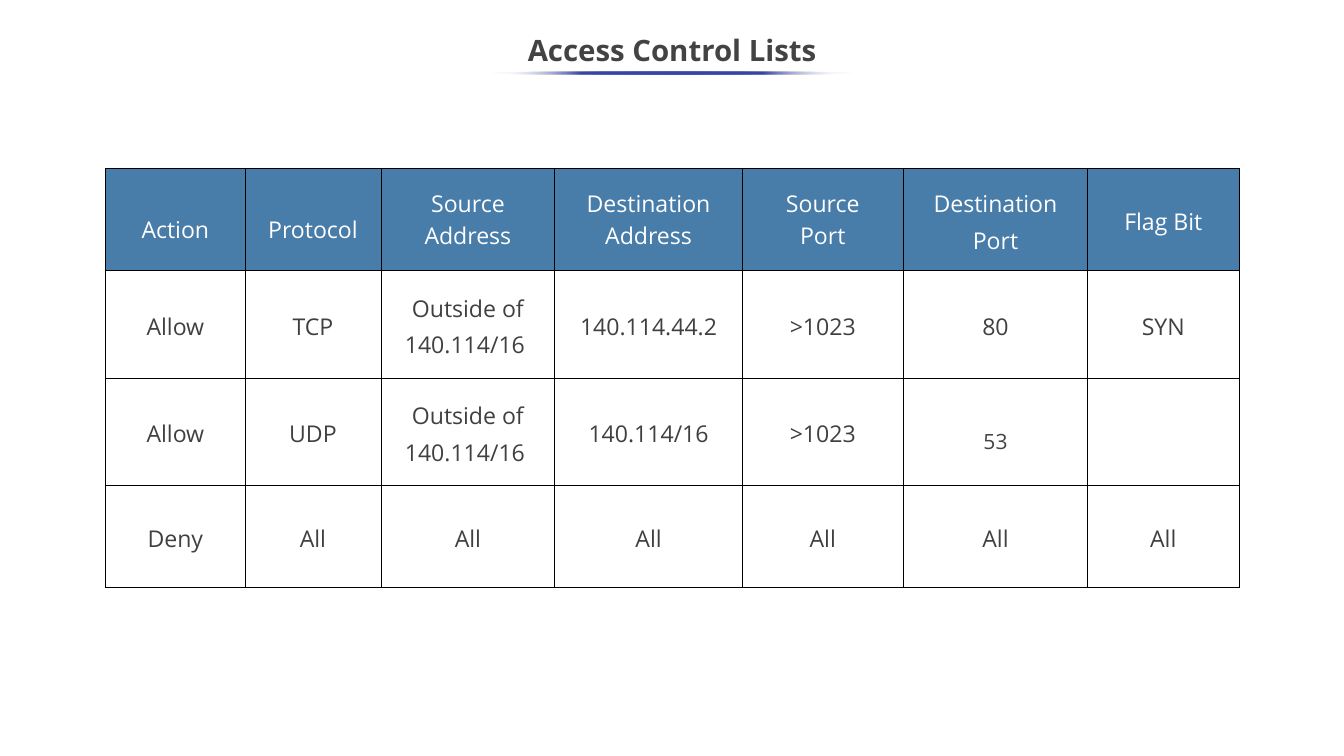
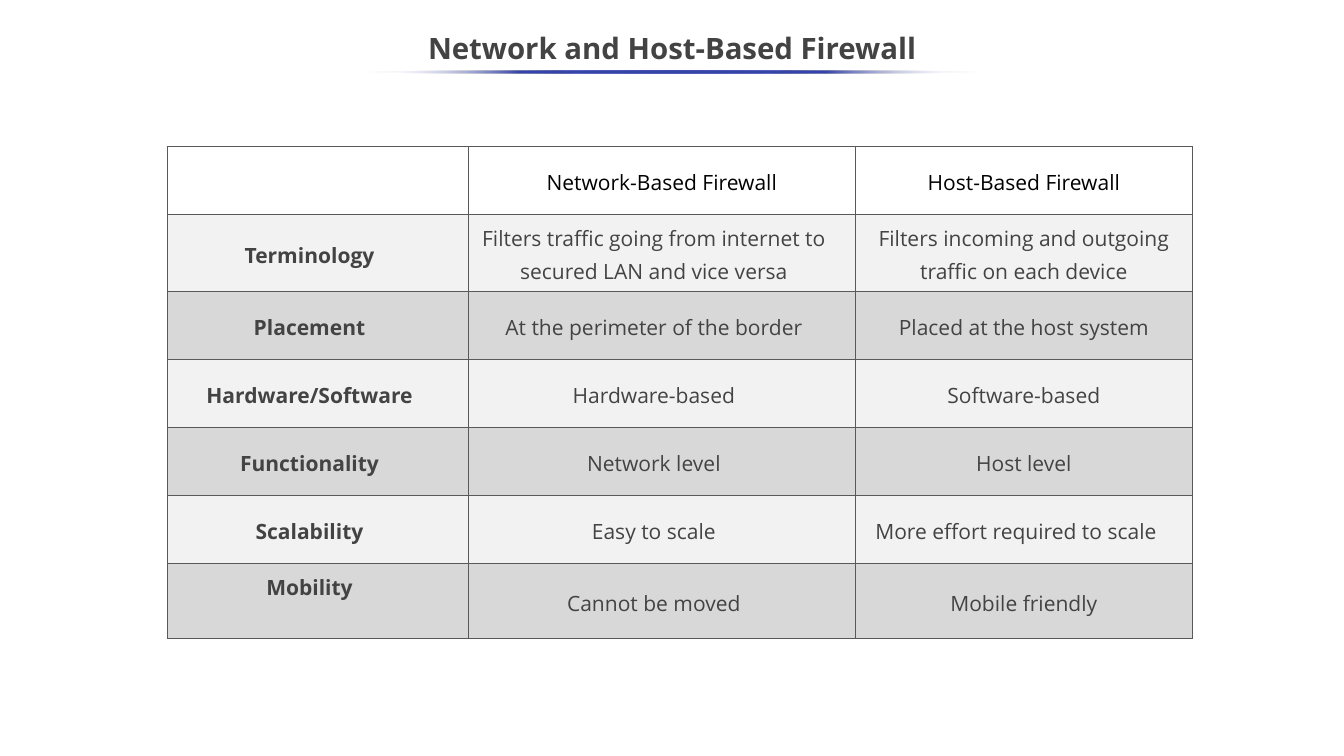
import pptx
import pptx.dml.color
import pptx.enum.shapes
import pptx.enum.text
import pptx.oxml
import pptx.oxml.ns
import pptx.util

Inches = pptx.util.Inches
Pt = pptx.util.Pt
MIDDLE = pptx.enum.text.MSO_ANCHOR.MIDDLE
TOP = pptx.enum.text.MSO_ANCHOR.TOP
CENTER = pptx.enum.text.PP_ALIGN.CENTER

COLORS = {
    "white": "FFFFFF", "black": "000000", "title": "434343",
    "body": "404040", "header": "487CA9", "accent": "3645A9",
    "light": "F2F2F2", "band": "D8D8D8", "rule": "595959",
}
FONT = "Open Sans"
INDENT = 0.21

ACL_ROWS = [
    ["Action", "Protocol", "Source\vAddress", "Destination\vAddress",
     "Source\vPort", "Destination\vPort", "Flag Bit"],
    ["Allow", "TCP", "Outside of 140.114/16 ", "140.114.44.2", ">1023", "80", "SYN"],
    ["Allow", "UDP", "Outside of 140.114/16 ", "140.114/16", ">1023", "53", ""],
    ["Deny"] + ["All"] * 6,
]
ACL_HEADER_SPACING = [1.66, 1.66, 1, 1, 1, 1.15, 1.15]

FIREWALL_ROWS = [
    ["", "Network-Based Firewall", "Host-Based Firewall"],
    ["Terminology", "Filters traffic going from internet to secured LAN and vice versa",
     "Filters incoming and outgoing traffic on each device"],
    ["Placement", "At the perimeter of the border", "Placed at the host system"],
    ["Hardware/Software", "Hardware-based", "Software-based"],
    ["Functionality", "Network level", "Host level"],
    ["Scalability", "Easy to scale", "More effort required to scale"],
    ["Mobility", "Cannot be moved", "Mobile friendly"],
]


def rgb(name):
    return pptx.dml.color.RGBColor.from_string(COLORS[name])


def set_attrs(obj, values):
    for name, value in values.items():
        setattr(obj, name, value)


def write(tf, text, size, color, bold=False, spacing=1.15):
    """Put one centred paragraph into a text frame."""
    p = tf.paragraphs[0]
    p.text = text
    set_attrs(p, {"alignment": CENTER, "line_spacing": spacing})
    for r in p.runs:
        set_attrs(r.font, {"name": FONT, "size": Pt(size), "bold": bold})
        r.font.color.rgb = rgb(color)
    return p


def set_side_margins(p, left=0, right=0):
    pPr = p._p.get_or_add_pPr()
    for name, value in (("marL", left), ("marR", right), ("indent", 0)):
        pPr.set(name, str(Inches(value)))


def add_titled_slide(prs, title, top, spacing, rule_left, rule_top, rule_width):
    s = prs.slides.add_slide(prs.slide_layouts[5])
    sp = s.shapes.title
    set_attrs(sp, {"left": Inches(-0.01), "top": Inches(top),
                   "width": Inches(17.8), "height": Inches(0.75)})
    set_attrs(sp.text_frame, {"vertical_anchor": MIDDLE, "word_wrap": True,
                              "auto_size": pptx.enum.text.MSO_AUTO_SIZE.NONE})
    write(sp.text_frame, title, 28, "title", True, spacing)
    add_fading_rule(s, rule_left, rule_top, rule_width)
    return s


def add_fading_rule(s, left, top, width):
    """Flat ellipse whose colour fades out at both ends."""
    sp = s.shapes.add_shape(pptx.enum.shapes.MSO_SHAPE.OVAL, Inches(left), Inches(top),
                            Inches(width), Inches(0.04))
    sp.shadow.inherit = False
    sp.line.fill.background()
    stops = ""
    for pos in (0, 25, 50, 75, 100):
        faded = pos in (0, 100)
        color = COLORS["white" if faded else "accent"]
        alpha = '<a:alpha val="0"/>' if faded else ""
        stops += f'<a:gs pos="{pos * 1000}"><a:srgbClr val="{color}">{alpha}</a:srgbClr></a:gs>'
    grad = pptx.oxml.parse_xml(
        f'<a:gradFill {pptx.oxml.ns.nsdecls("a")}><a:gsLst>{stops}</a:gsLst>'
        '<a:lin ang="10800000" scaled="0"/></a:gradFill>')
    sp._element.spPr.find(pptx.oxml.ns.qn("a:prstGeom")).addnext(grad)


def add_grid(s, left, top, widths, heights):
    frame = s.shapes.add_table(len(heights), len(widths), Inches(left), Inches(top),
                               Inches(sum(widths)), Inches(sum(heights)))
    table = frame.table
    set_attrs(table, {"first_row": False, "horz_banding": False})
    for col, width in zip(table.columns, widths):
        col.width = Inches(width)
    for row, height in zip(table.rows, heights):
        row.height = Inches(height)
    return table


def format_cell(cell, fill, border, margin_x, margin_y, anchor=MIDDLE):
    set_attrs(cell, {"margin_left": Inches(margin_x), "margin_right": Inches(margin_x),
                     "margin_top": Inches(margin_y), "margin_bottom": Inches(margin_y),
                     "vertical_anchor": anchor})
    tcPr = cell._tc.get_or_add_tcPr()
    for side in "LRTB":
        tcPr.append(pptx.oxml.parse_xml(
            f'<a:ln{side} {pptx.oxml.ns.nsdecls("a")} w="{Pt(0.75)}"><a:solidFill>'
            f'<a:srgbClr val="{COLORS[border]}"/></a:solidFill></a:ln{side}>'))
    cell.fill.solid()
    cell.fill.fore_color.rgb = rgb(fill)


def fill_acl_table(table):
    for i, row in enumerate(ACL_ROWS):
        for j, text in enumerate(row):
            cell = table.cell(i, j)
            format_cell(cell, "white" if i else "header", "black", 0, 0)
            size, color, spacing = 22, "body", 1.15
            if i == 0:
                color, spacing = "white", ACL_HEADER_SPACING[j]
            elif text == "53":
                size, color, spacing = 20, "title", 1.66
            write(cell.text_frame, text, size, color, spacing=spacing)


def fill_firewall_table(table):
    for i, row in enumerate(FIREWALL_ROWS):
        fill = "white" if i == 0 else ("light" if i % 2 else "band")
        for j, text in enumerate(row):
            cell = table.cell(i, j)
            anchor = TOP if text == "Mobility" else MIDDLE
            format_cell(cell, fill, "rule", 0.13, 0.07, anchor)
            p = write(cell.text_frame, text, 20, "title" if i else "black",
                      bold=j == 0)
            if i == 0:
                set_side_margins(p, INDENT, INDENT)
            elif j < 2 or row[0] == "Scalability":
                set_side_margins(p, right=INDENT)


def main():
    prs = pptx.Presentation()
    set_attrs(prs, {"slide_width": Inches(17.78), "slide_height": Inches(10)})

    # Access control lists
    s = add_titled_slide(prs, "Access Control Lists", 0.25, 1.15, 6.5, 0.95, 4.78)
    fill_acl_table(add_grid(s, 1.4, 2.23, [1.84, 1.8, 2.3, 2.48, 2.13, 2.44, 2],
                            [1.35, 1.42, 1.42, 1.35]))

    # Firewall comparison
    s = add_titled_slide(prs, "Network and Host-Based Firewall", 0.29, 0.9,
                         4.85, 0.93, 8.09)
    fill_firewall_table(add_grid(s, 2.21, 1.94, [3.98, 5.13, 4.45],
                                 [0.9, 1] + [0.9] * 4 + [1]))

    prs.save("out.pptx")


if __name__ == "__main__":
    main()
